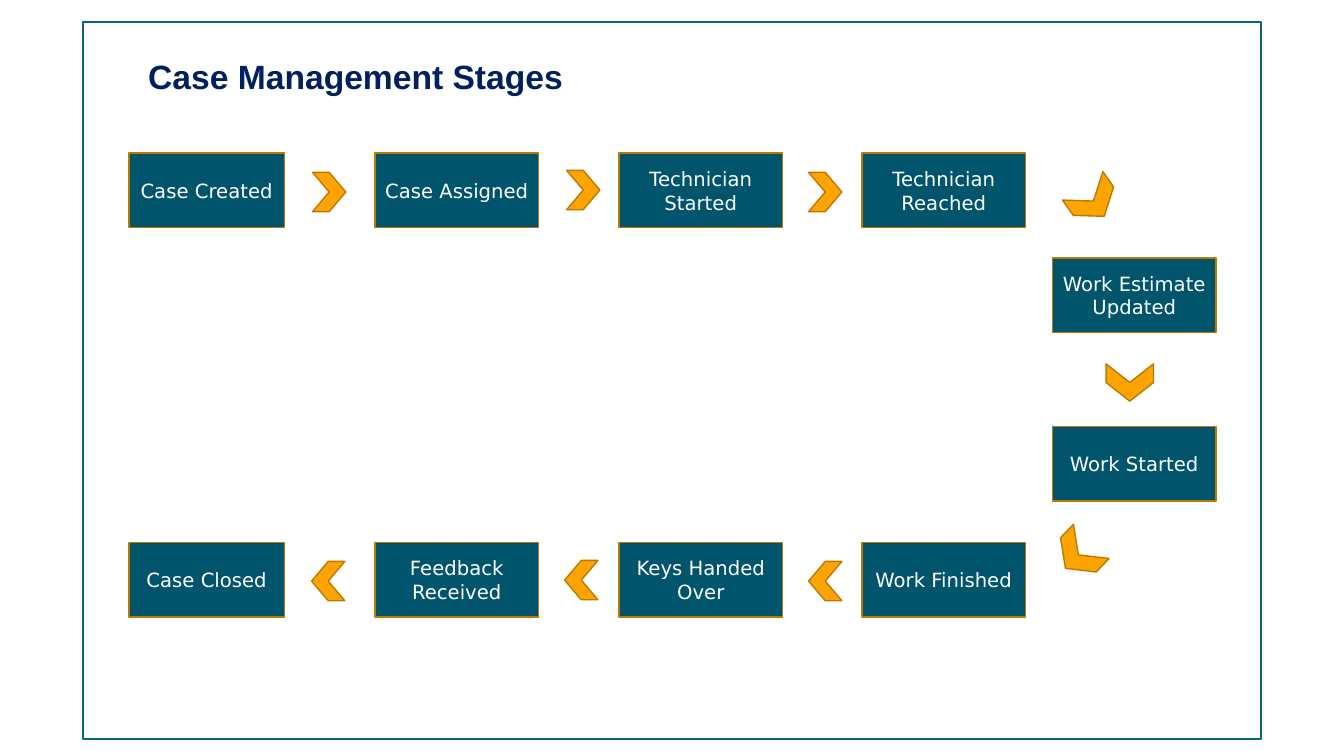
from pptx import Presentation
from pptx import util as u
from pptx.dml.color import RGBColor
from pptx.enum import shapes, text

PX = 9144  # 100 px to the inch
KIND = shapes.MSO_SHAPE


def paint(fmt, hue):
    fmt.solid()
    fmt.fore_color.rgb = RGBColor.from_string(hue)


def draw(kind, x, y, w, h, fill, line, width, turn=0):
    shp = slide.shapes.add_shape(kind, x * PX, y * PX, w * PX, h * PX)
    shp.shadow.inherit = False
    shp.rotation = turn
    if fill:
        paint(shp.fill, fill)
    else:
        shp.fill.background()
    paint(shp.line.fill, line)
    shp.line.width = u.Pt(width)
    return shp


deck = Presentation()
deck.slide_width, deck.slide_height = 1333 * PX, 750 * PX
slide = deck.slides.add_slide(deck.slide_layouts[5])

# Frame
draw(KIND.RECTANGLE, 82, 22, 1169, 711, None, "06657F", 1.5)

# Title
title = slide.shapes.title
place = {"left": 137, "top": 50, "width": 1062, "height": 71}
for key, val in place.items():
    setattr(title, key, val * PX)
frame = title.text_frame
frame.text = "Case Management Stages"
form = {"vertical_anchor": text.MSO_ANCHOR.TOP, "word_wrap": True,
        "auto_size": text.MSO_AUTO_SIZE.NONE}
for key, val in form.items():
    setattr(frame, key, val)
para = frame.paragraphs[0]
para.alignment = text.PP_ALIGN.LEFT
for key, val in {"name": "Arial", "size": u.Pt(24), "bold": True}.items():
    setattr(para.font, key, val)
paint(para.font.fill, "002060")

# Stages: two rows of four, joined by a column of two on the right
cols = [(128, 154), (372, 162), (614, 162), (855, 162)]
side = (1044, 162)
spots = [(col, 152) for col in cols]
spots += [(side, 256), (side, 423)]
spots += [(col, 538) for col in reversed(cols)]
names = ["Case Created", "Case Assigned", "Technician Started",
         "Technician Reached", "Work Estimate Updated", "Work Started",
         "Work Finished", "Keys Handed Over", "Feedback Received",
         "Case Closed"]
form = {"vertical_anchor": text.MSO_ANCHOR.MIDDLE, "word_wrap": True,
        "margin_left": 6 * PX, "margin_right": 6 * PX}
for name, ((x, wide), y) in zip(names, spots):
    box = draw(KIND.RECTANGLE, x, y, wide, 74, "00546C", "BC7900", 1)
    frame = box.text_frame
    frame.text = name
    for key, val in form.items():
        setattr(frame, key, val)
    para = frame.paragraphs[0]
    para.alignment = text.PP_ALIGN.CENTER
    for key, val in {"name": "DejaVu Sans", "size": u.Pt(14)}.items():
        setattr(para.font, key, val)
    paint(para.font.fill, "FFFFFF")

# Chevrons: left, top, width, height, rotation
marks = [(310, 171, 33, 39, 0), (562, 169, 33, 39, 0), (802, 171, 33, 39, 0),
         (1066, 175, 37, 49, 54.8), (1102, 356, 37, 47, 90),
         (1051, 526, 37, 49, 133.8), (802, 557, 33, 39, 180),
         (560, 556, 33, 39, 180), (309, 557, 33, 39, 180)]
for x, y, w, h, turn in marks:
    draw(KIND.CHEVRON, x, y, w, h, "FEA400", "BC7900", 1, turn)

deck.save("out.pptx")
